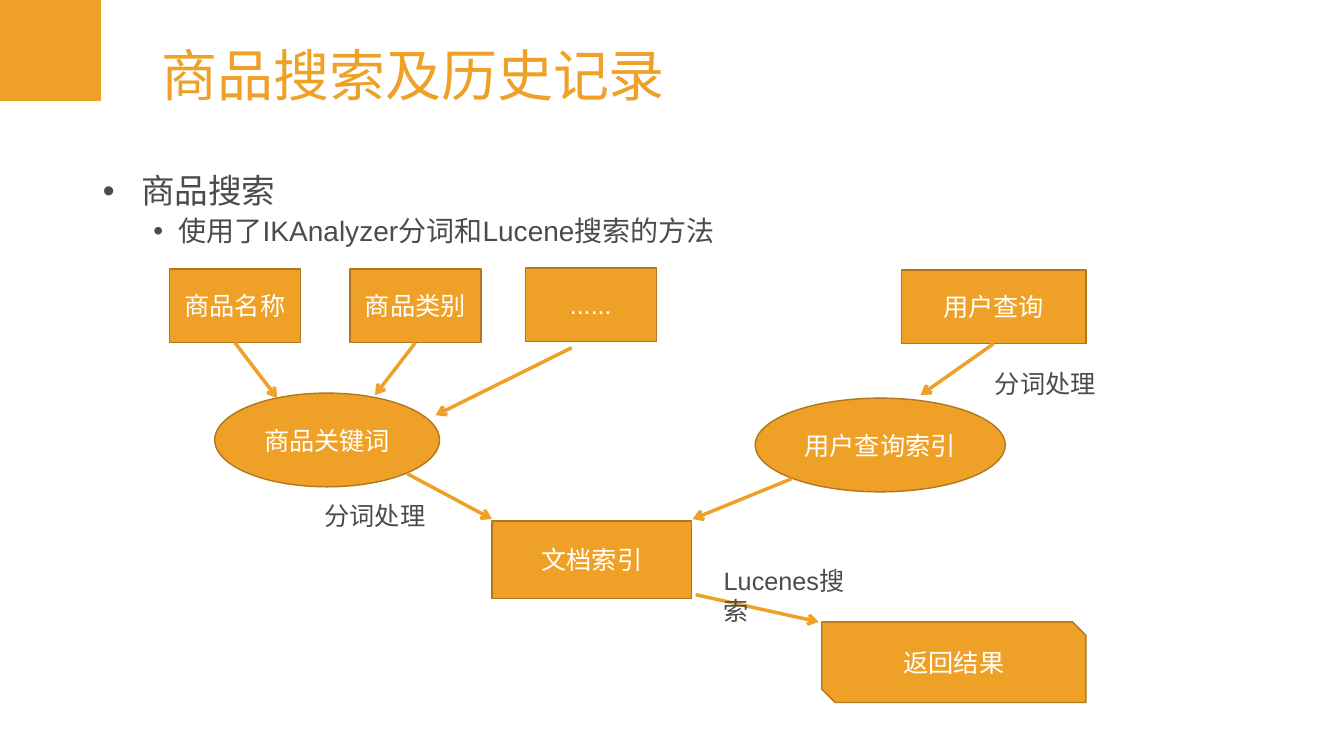
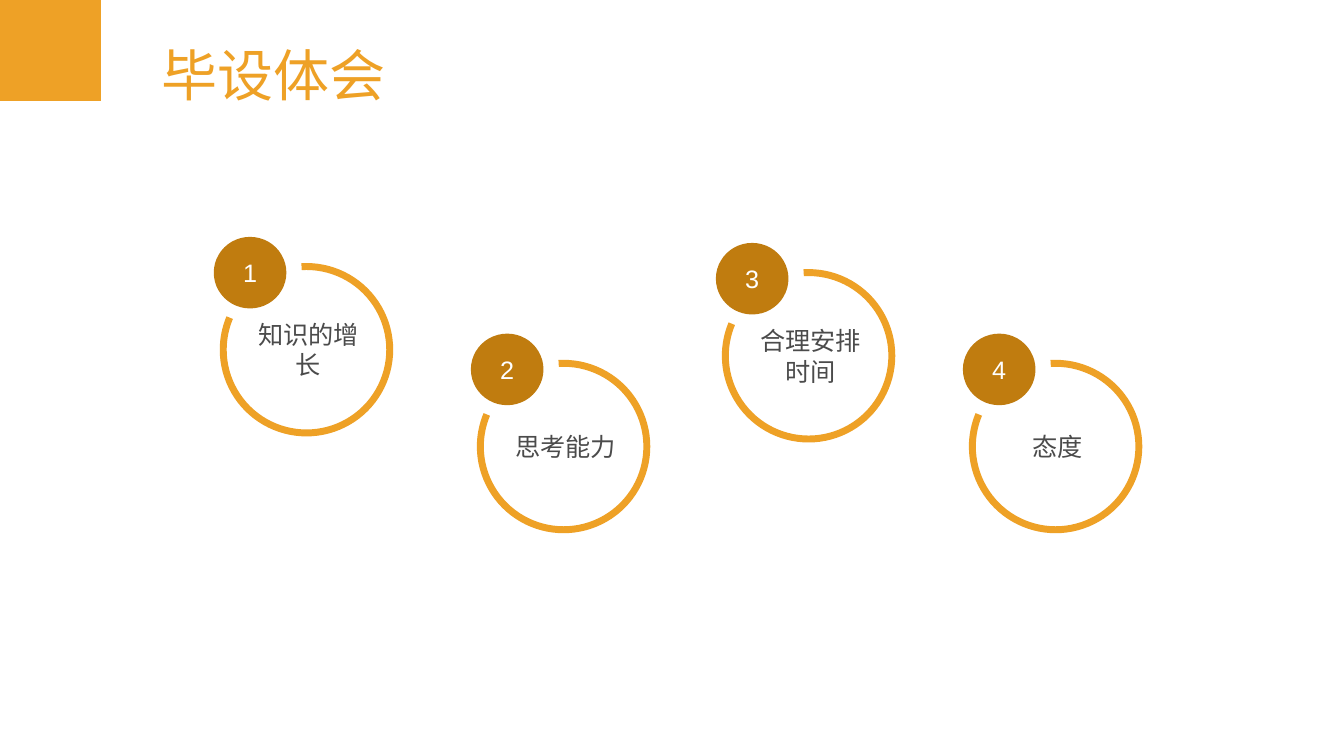
from lxml import etree
from pptx import Presentation
from pptx.dml.color import RGBColor
from pptx.enum.shapes import MSO_CONNECTOR, MSO_SHAPE
from pptx.enum.text import MSO_ANCHOR, PP_ALIGN
from pptx.oxml.ns import qn
from pptx.util import Inches, Pt

COLORS = {"orange": "EEA126", "edge": "B0771C", "badge": "C07C0F",
          "olive": "B1AB63", "text": "4B4B4B", "white": "FFFFFF"}
FONT = "Arial"
TITLE_BOX = (1.5, 0.29, 10.98, 0.98)
BODY_BOX = (0.92, 1.68, 11.5, 4.66)

# Each leaf: start point, then line ends (1 point) or Bézier segments (3 points)
LEAVES = [
    ("olive", (0.69, 0.01), [
        [(0, 0.28)], [(0, 0.97)], [(0.04, 1)],
        [(0.25, 1.17), (0.49, 1.31), (0.65, 1.33)],
        [(0.55, 1.21), (0.53, 0.41), (0.69, 0.01)]]),
    ("orange", (1.48, 0.98), [
        [(1.4, 0.86), (1.4, 0.31), (1.18, 0)], [(0, 0)], [(0, 0.35)],
        [(0.41, 0.82), (1.28, 1.06), (1.48, 0.98)]]),
]

SEARCH_TITLE = "商品搜索及历史记录"
# text, level, size, left margin, hanging indent, space before
SEARCH_POINTS = [
    ("商品搜索", 0, 24, 0.38, 0.38, 10),
    ("使用了IKAnalyzer分词和Lucene搜索的方法", 1, 20, 0.75, 0.25, 5),
]
RECT, OVAL, SNIPPED = MSO_SHAPE.RECTANGLE, MSO_SHAPE.OVAL, MSO_SHAPE.SNIP_2_DIAG_RECTANGLE
SEARCH_STEPS = [
    ("商品名称", RECT, (1.68, 2.67, 1.3, 0.73)),
    ("商品类别", RECT, (3.47, 2.67, 1.3, 0.73)),
    ("......", RECT, (5.21, 2.66, 1.3, 0.73)),
    ("商品关键词", OVAL, (2.13, 3.9, 2.23, 0.93)),
    ("文档索引", RECT, (4.88, 5.17, 1.98, 0.77)),
    ("用户查询", RECT, (8.94, 2.68, 1.83, 0.73)),
    ("用户查询索引", OVAL, (7.49, 3.95, 2.48, 0.93)),
    ("返回结果", SNIPPED, (8.15, 6.17, 2.62, 0.8)),
]
# start point, end point, step whose bottom the arrow leaves from
SEARCH_ARROWS = [
    ((2.33, 3.4), (2.75, 3.95), "商品名称"),
    ((4.12, 3.4), (3.72, 3.92), "商品类别"),
    ((5.67, 3.45), (4.32, 4.12), None),
    ((4.04, 4.7), (4.88, 5.15), None),
    ((9.86, 3.41), (9.13, 3.92), "用户查询"),
    ((7.85, 4.75), (6.87, 5.15), None),
    ((6.9, 5.9), (8.12, 6.17), None),
]
# text, box, wraps
SEARCH_LABELS = [
    ("分词处理", (9.77, 3.6, 1.2, 0.4), False),
    ("分词处理", (3.12, 4.91, 1.2, 0.4), False),
    ("Lucenes搜索", (7.08, 5.56, 1.64, 0.4), True),
]

LESSONS_TITLE = "毕设体会"
LESSONS = [  # text, left and top of the badge
    ("知识的增长", 2.12, 2.35),
    ("思考能力", 4.67, 3.31),
    ("合理安排时间", 7.1, 2.41),
    ("态度", 9.55, 3.31),
]
BADGE_SIZE = (0.72, 0.71)
RING_OFFSET, RING_SIZE = (0.06, 0.26), 1.72
RING_START, RING_END, RING_THICKNESS = 266.6, 202.7, 0.04


def inches(lengths):
    return [Inches(length) for length in lengths]


def rgb(color):
    return RGBColor.from_string(COLORS[color])


def format_paragraph(paragraph, size, color, align=None):
    paragraph.alignment = align
    font = paragraph.font
    font.name, font.size = FONT, Pt(size)
    font.color.rgb = rgb(color)


def paint(shape, fill, edge=None):
    shape.shadow.inherit = False
    shape.fill.solid()
    shape.fill.fore_color.rgb = rgb(fill)
    if edge:
        shape.line.color.rgb = rgb(edge)
        shape.line.width = Pt(1)
    else:
        shape.line.fill.background()


def set_margins(frame, left=0, right=0):
    frame.margin_left, frame.margin_right = inches((left, right))
    frame.margin_top = frame.margin_bottom = 0


def add_filled(shapes, kind, box, text, fill, edge=None):
    shape = shapes.add_shape(kind, *inches(box))
    paint(shape, fill, edge)
    frame = shape.text_frame
    frame.text = text
    frame.vertical_anchor = MSO_ANCHOR.MIDDLE
    format_paragraph(frame.paragraphs[0], 18, "white", PP_ALIGN.CENTER)
    return shape


def add_label(shapes, box, text, wraps, align=None):
    frame = shapes.add_textbox(*inches(box)).text_frame
    frame.word_wrap = wraps
    frame.text = text
    format_paragraph(frame.paragraphs[0], 18, "text", align)
    return frame


def outline(start, segments, steps=20):
    """Points along lines and cubic Bézier curves."""
    points = [start]
    for segment in segments:
        if len(segment) == 1:
            points += segment
            continue
        curve = [points[-1], *segment]
        for step in range(1, steps + 1):
            t = step / steps
            weights = ((1 - t) ** 3, 3 * t * (1 - t) ** 2, 3 * t * t * (1 - t), t ** 3)
            points.append(tuple(sum(w * p[axis] for w, p in zip(weights, curve))
                                for axis in (0, 1)))
    return points


def move_leaves_to_master(slide, master):
    """Freeforms can only be built on a slide, so build there, then move."""
    for position, (color, start, segments) in enumerate(LEAVES, 2):
        first, *rest = outline(start, segments)
        builder = slide.shapes.build_freeform(*first, scale=Inches(1))
        builder.add_line_segments(rest, close=True)
        leaf = builder.convert_to_shape()
        paint(leaf, color)
        master.shapes.element.insert(position, leaf.element)


def place(placeholder, box):
    (placeholder.left, placeholder.top,
     placeholder.width, placeholder.height) = inches(box)


def add_titled_slide(prs, layout, title):
    slide = prs.slides.add_slide(prs.slide_layouts[layout])
    heading = slide.shapes.title
    place(heading, TITLE_BOX)
    frame = heading.text_frame
    frame.text = title
    frame.vertical_anchor = MSO_ANCHOR.MIDDLE
    frame.paragraphs[0].line_spacing = 0.9
    format_paragraph(frame.paragraphs[0], 40, "orange", PP_ALIGN.LEFT)
    return slide


def fill_body(body, points):
    place(body, BODY_BOX)
    frame = body.text_frame
    for index, (text, level, size, margin, hanging, before) in enumerate(points):
        paragraph = frame.add_paragraph() if index else frame.paragraphs[0]
        paragraph.text = text
        paragraph.level = level
        properties = paragraph._p.get_or_add_pPr()
        properties.set("marL", str(Inches(margin)))
        properties.set("indent", str(-Inches(hanging)))
        etree.SubElement(properties, qn("a:buFont"), typeface=FONT)
        etree.SubElement(properties, qn("a:buChar"), char="•")
        paragraph.line_spacing, paragraph.space_before = 0.9, Pt(before)
        format_paragraph(paragraph, size, "text")


def add_arrow(shapes, start, end, source=None):
    arrow = shapes.add_connector(MSO_CONNECTOR.STRAIGHT, *inches(start + end))
    if source:
        arrow.begin_connect(source, 2)
    arrow.line.color.rgb = rgb("orange")
    arrow.line.width = Pt(2.5)
    etree.SubElement(arrow.line._get_or_add_ln(), qn("a:tailEnd"), type="arrow")
    etree.SubElement(arrow.element.spPr, qn("a:effectLst"))


def add_lesson(slide, number, text, left, top):
    shapes = slide.shapes.add_group_shape().shapes
    add_filled(shapes, OVAL, (left, top, *BADGE_SIZE), str(number), "badge")
    set_margins(shapes[0].text_frame)
    ring_box = (left + RING_OFFSET[0], top + RING_OFFSET[1], RING_SIZE, RING_SIZE)
    ring = shapes.add_shape(MSO_SHAPE.BLOCK_ARC, *inches(ring_box))
    paint(ring, "orange")
    # Angles are stored in 60000ths of a degree, adjustments in 100000ths
    ring.adjustments[0] = RING_START * 0.6
    ring.adjustments[1] = RING_END * 0.6
    ring.adjustments[2] = RING_THICKNESS
    frame = add_label(shapes, ring_box, text, True, PP_ALIGN.CENTER)
    frame.vertical_anchor = MSO_ANCHOR.MIDDLE
    set_margins(frame, 0.35, 0.31)


def build_search(prs):
    slide = add_titled_slide(prs, 1, SEARCH_TITLE)
    move_leaves_to_master(slide, prs.slide_master)
    fill_body(slide.placeholders[1], SEARCH_POINTS)
    steps = {text: add_filled(slide.shapes, kind, box, text, "orange", "edge")
             for text, kind, box in SEARCH_STEPS}
    for start, end, source in SEARCH_ARROWS:
        add_arrow(slide.shapes, start, end, steps.get(source))
    for text, box, wraps in SEARCH_LABELS:
        add_label(slide.shapes, box, text, wraps)


def build_lessons(prs):
    slide = add_titled_slide(prs, 5, LESSONS_TITLE)
    for number, lesson in enumerate(LESSONS, 1):
        add_lesson(slide, number, *lesson)


def main():
    prs = Presentation()
    prs.slide_width, prs.slide_height = inches((13.33, 7.5))
    build_search(prs)
    build_lessons(prs)
    prs.save("out.pptx")


if __name__ == "__main__":
    main()
